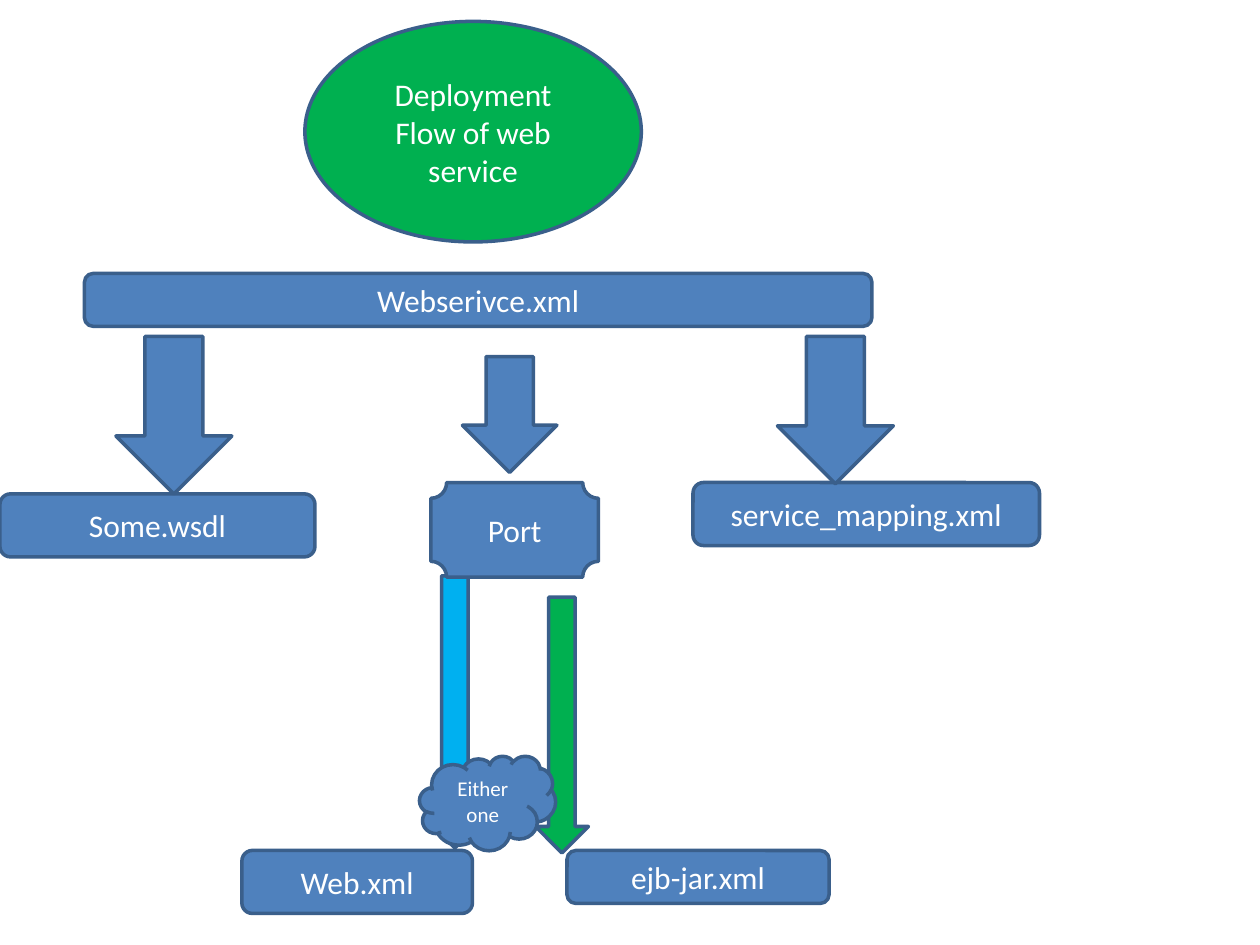
from dataclasses import dataclass

from pptx import Presentation
from pptx.dml.color import RGBColor
from pptx.enum.shapes import MSO_SHAPE
from pptx.enum.text import MSO_ANCHOR, PP_ALIGN
from pptx.util import Inches, Pt

COLORS = {
    "blue": "4F81BD",
    "sky": "00B0F0",
    "green": "00B050",
    "outline": "3A5F8B",
    "white": "FFFFFF",
}


@dataclass
class Node:
    kind: MSO_SHAPE
    left: float
    top: float
    width: float
    height: float
    text: str = ""
    fill: str = "blue"
    size: int = 18


BOX, ARROW = MSO_SHAPE.ROUNDED_RECTANGLE, MSO_SHAPE.DOWN_ARROW

NODES = [
    Node(BOX, 0.67, 2.17, 6.25, 0.42, "Webserivce.xml"),
    Node(BOX, 0, 3.92, 2.5, 0.5, "Some.wsdl"),
    Node(BOX, 5.5, 3.83, 2.75, 0.5, "service_mapping.xml"),
    Node(ARROW, 6.17, 2.67, 0.92, 1.17),
    Node(ARROW, 0.92, 2.67, 0.92, 1.25),
    Node(BOX, 1.92, 6.75, 1.83, 0.5, "Web.xml"),
    Node(BOX, 4.5, 6.75, 2.08, 0.42, "ejb-jar.xml"),
    Node(ARROW, 3.4, 4.57, 0.42, 2.16, fill="sky"),
    Node(ARROW, 4.25, 4.74, 0.42, 2.03, fill="green"),
    Node(MSO_SHAPE.OVAL, 2.42, 0.17, 2.67, 1.75,
         "Deployment Flow of web service", fill="green"),
    Node(MSO_SHAPE.CLOUD, 3.33, 6, 1.08, 0.75, "Either one", size=12),
    Node(MSO_SHAPE.PLAQUE, 3.42, 3.83, 1.33, 0.75, "Port"),
    Node(ARROW, 3.67, 2.83, 0.75, 0.92),
]


def color(name: str) -> RGBColor:
    return RGBColor.from_string(COLORS[name])


def write_text(s, text: str, *, size: int = 18, font: str = "Calibri",
               fill: str = "white", align=PP_ALIGN.CENTER) -> None:
    tf = s.text_frame
    tf.word_wrap = True
    tf.vertical_anchor = MSO_ANCHOR.MIDDLE
    p = tf.paragraphs[0]
    p.alignment = align
    r = p.add_run()
    r.text = text
    r.font.size = Pt(size)
    r.font.name = font
    r.font.color.rgb = color(fill)


def draw_node(slide, node: Node) -> None:
    s = slide.shapes.add_shape(
        node.kind, Inches(node.left), Inches(node.top),
        Inches(node.width), Inches(node.height))
    s.shadow.inherit = False
    s.fill.solid()
    s.fill.fore_color.rgb = color(node.fill)
    s.line.color.rgb = color("outline")
    s.line.width = Pt(2)
    if node.text:
        write_text(s, node.text, size=node.size)


def main() -> None:
    prs = Presentation()
    prs.slide_width, prs.slide_height = Inches(10), Inches(7.5)
    slide = prs.slides.add_slide(prs.slide_layouts[6])
    for node in NODES:
        draw_node(slide, node)
    prs.save("out.pptx")


main()
